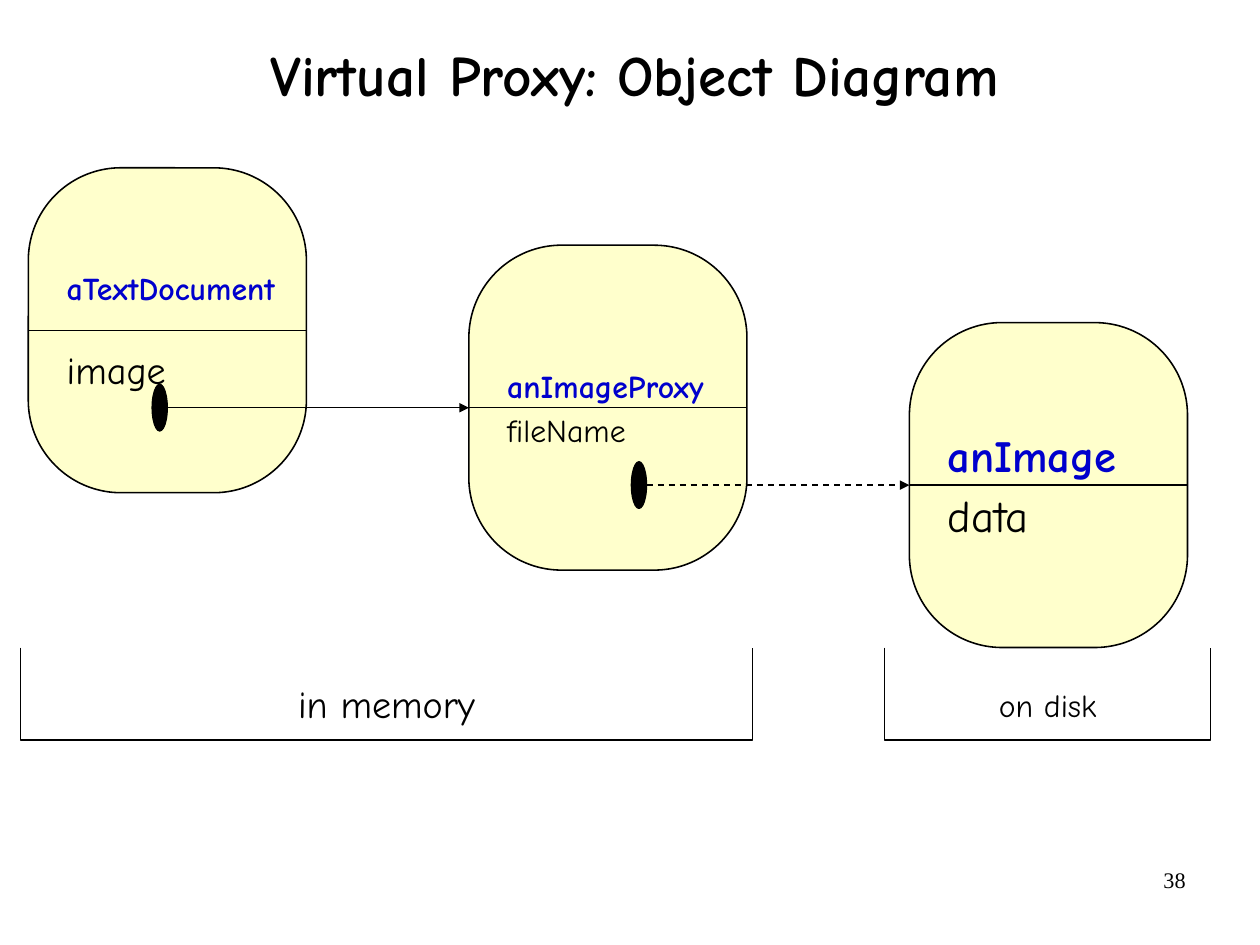
import pptx
import pptx.util
import pptx.dml.color
import pptx.enum.dml
import pptx.enum.shapes
import pptx.enum.text
import pptx.oxml.ns
import lxml.etree

Cm = pptx.util.Cm
Pt = pptx.util.Pt
RGBColor = pptx.dml.color.RGBColor
SHAPE = pptx.enum.shapes.MSO_SHAPE
ANCHOR = pptx.enum.text.MSO_ANCHOR
ALIGN = pptx.enum.text.PP_ALIGN

BLACK = RGBColor(0x00, 0x00, 0x00)
WHITE = RGBColor(0xFF, 0xFF, 0xFF)
CREAM = RGBColor(0xFF, 0xFF, 0xCC)
BLUE = RGBColor(0x00, 0x00, 0xCC)

OBJECT_WIDTH, OBJECT_HEIGHT = 6.18, 7.22
OBJECT_LEFT, OBJECT_TOP = 0.63, 3.73
STEP_RIGHT, STEP_DOWN = 9.79, 1.72
BRACKET_TOP, BRACKET_BOTTOM = 14.39, 16.45


def write(paragraph, text, size=20, color=BLACK, bold=False, font="Comic Neue",
          align=ALIGN.LEFT, before=0, spacing=1.0):
    paragraph.alignment = align
    paragraph.space_before = Pt(before)
    paragraph.line_spacing = spacing
    run = paragraph.add_run()
    run.text = text
    run.font.name = font
    run.font.size = Pt(size)
    run.font.bold = bold
    run.font.color.rgb = color


def add_label(slide, text, left, top, width, height, anchor=ANCHOR.TOP,
              fill=None, side_margin=0.25, **text_format):
    label = slide.shapes.add_textbox(Cm(left), Cm(top), Cm(width), Cm(height))
    if fill is not None:
        label.fill.solid()
        label.fill.fore_color.rgb = fill
    frame = label.text_frame
    frame.word_wrap = True
    frame.vertical_anchor = anchor
    frame.margin_left = frame.margin_right = Cm(side_margin)
    write(frame.paragraphs[0], text, **text_format)


def add_outlined(slide, kind, left, top, width, height, fill, weight):
    outlined = slide.shapes.add_shape(kind, Cm(left), Cm(top), Cm(width), Cm(height))
    outlined.shadow.inherit = False
    outlined.fill.solid()
    outlined.fill.fore_color.rgb = fill
    outlined.line.color.rgb = BLACK
    outlined.line.width = Pt(weight)
    return outlined


def add_level_line(slide, start, end, y, arrow=False, dashed=False):
    level = slide.shapes.add_connector(
        pptx.enum.shapes.MSO_CONNECTOR.STRAIGHT, Cm(start), Cm(y), Cm(end), Cm(y))
    level.line.color.rgb = BLACK
    level.line.width = Pt(1)
    if dashed:
        level.line.dash_style = pptx.enum.dml.MSO_LINE.DASH
    if arrow:
        lxml.etree.SubElement(level.line._get_or_add_ln(),
                              pptx.oxml.ns.qn("a:tailEnd"), type="triangle")
    lxml.etree.SubElement(level._element.spPr, pptx.oxml.ns.qn("a:effectLst"))


def add_object(slide, left, top, name, field, name_size, field_size, gap):
    body = add_outlined(slide, SHAPE.ROUNDED_RECTANGLE, left, top,
                        OBJECT_WIDTH, OBJECT_HEIGHT, CREAM, 1)
    body.adjustments[0] = 1 / 3
    frame = body.text_frame
    frame.word_wrap = True
    frame.vertical_anchor = ANCHOR.MIDDLE
    frame.margin_left = Cm(0.25)
    frame.margin_right = Cm(0)
    write(frame.paragraphs[0], name, size=name_size, color=BLUE, bold=True)
    write(frame.add_paragraph(), field, size=field_size, before=gap)
    add_level_line(slide, left, left + OBJECT_WIDTH, top + OBJECT_HEIGHT / 2)


def add_reference(slide, left, end, y, dashed):
    width, height = 0.34, 1.04
    add_outlined(slide, SHAPE.OVAL, left, y - height / 2, width, height, BLACK, 0.75)
    add_level_line(slide, left + width, end, y, arrow=True, dashed=dashed)


def add_bracket(slide, left, right):
    outline = slide.shapes.build_freeform(Cm(left), Cm(BRACKET_TOP))
    outline.add_line_segments(
        [(Cm(left), Cm(BRACKET_BOTTOM)), (Cm(right), Cm(BRACKET_BOTTOM)),
         (Cm(right), Cm(BRACKET_TOP))], close=False)
    bracket = outline.convert_to_shape()
    bracket.shadow.inherit = False
    bracket.fill.background()
    bracket.line.color.rgb = BLACK
    bracket.line.width = Pt(1)


def main():
    deck = pptx.Presentation()
    deck.slide_width, deck.slide_height = Cm(28), Cm(21)
    slide = deck.slides.add_slide(deck.slide_layouts[6])

    add_label(slide, "38", 20.07, 19.13, 6.53, 1.45, size=14,
              font="Times New Roman", align=ALIGN.RIGHT)
    add_label(slide, "Virtual Proxy: Object Diagram", 2.16, 0, 23.88, 3.48,
              anchor=ANCHOR.MIDDLE, size=36, bold=True, align=ALIGN.CENTER, spacing=0.88)

    objects = [
        ("aTextDocument", "image", 20, 24, 25),
        ("anImageProxy", "fileName", 20, 20, 4),
        ("anImage", "data", 28, 28, 4),
    ]
    for index, details in enumerate(objects):
        add_object(slide, OBJECT_LEFT + index * STEP_RIGHT,
                   OBJECT_TOP + index * STEP_DOWN, *details)

    for target, dot_left, dashed in [(1, 3.38, False), (2, 14.03, True)]:
        add_reference(slide, dot_left, OBJECT_LEFT + target * STEP_RIGHT,
                      OBJECT_TOP + target * STEP_DOWN + OBJECT_HEIGHT / 2, dashed)

    add_bracket(slide, 0.46, 16.72)
    add_bracket(slide, 19.66, 26.9)
    add_label(slide, "in memory", 6.38, 14.99, 4.42, 1.27, fill=WHITE,
              side_margin=0, size=24, align=ALIGN.CENTER)
    add_label(slide, "on disk", 21.95, 15.11, 2.67, 1.12, fill=WHITE,
              side_margin=0, align=ALIGN.CENTER)

    deck.save("out.pptx")


if __name__ == "__main__":
    main()
